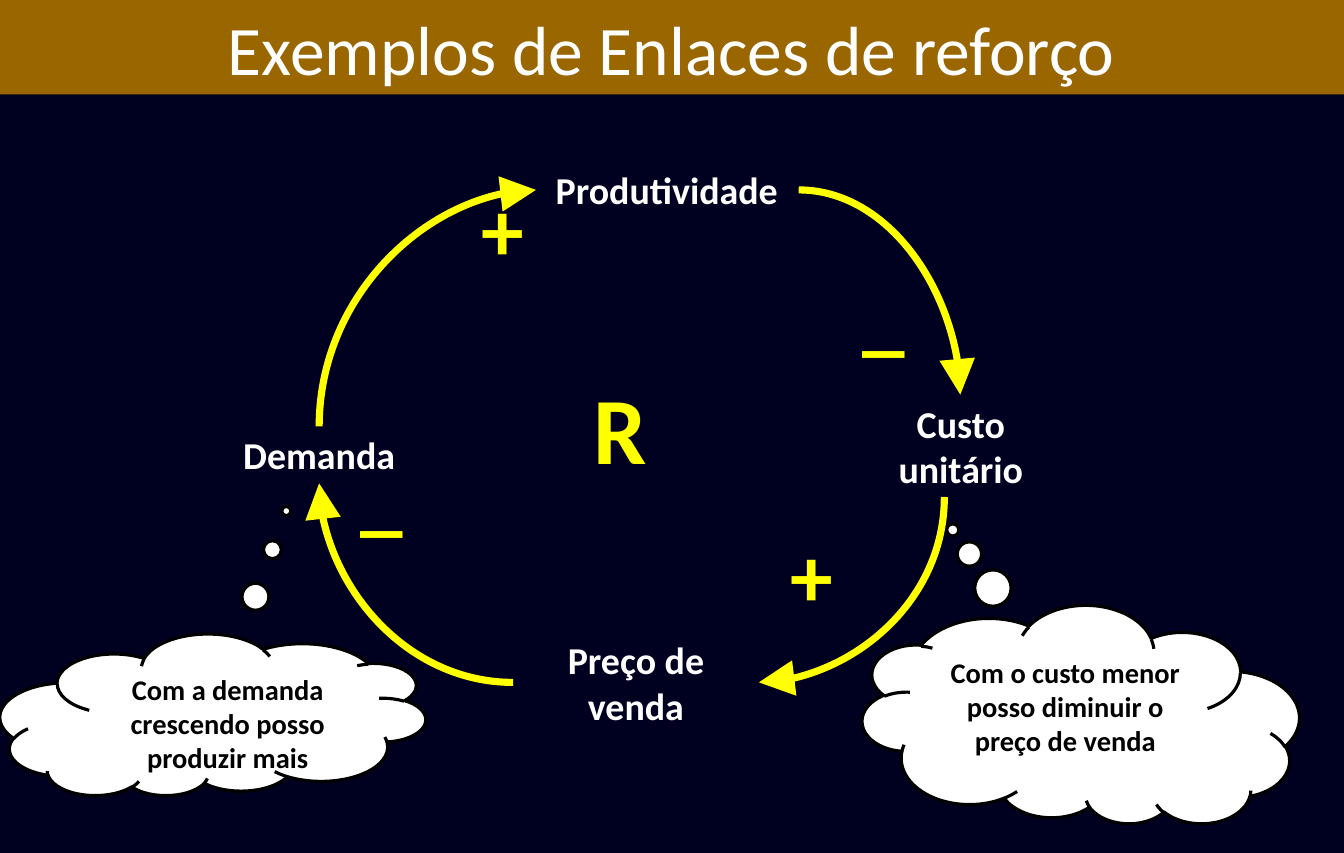
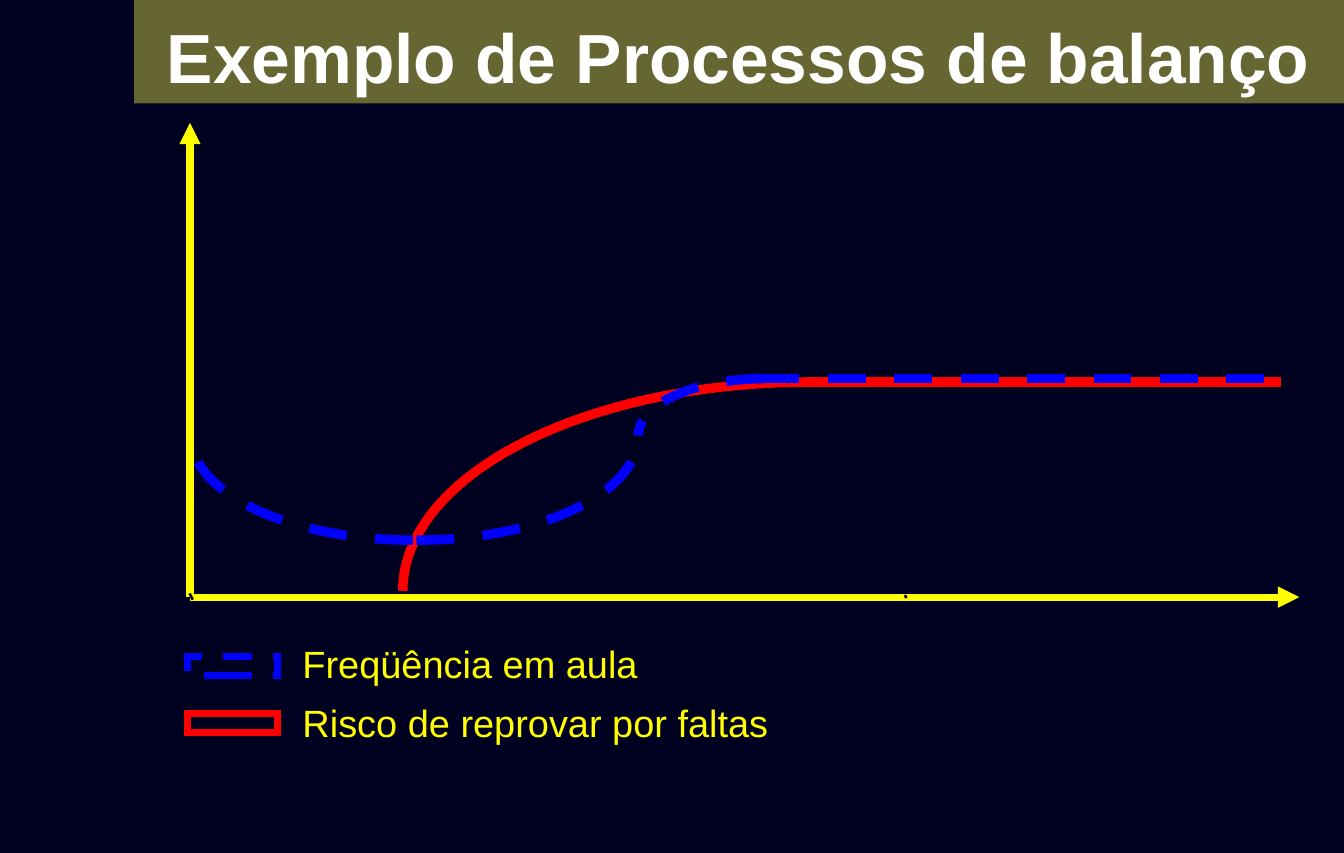
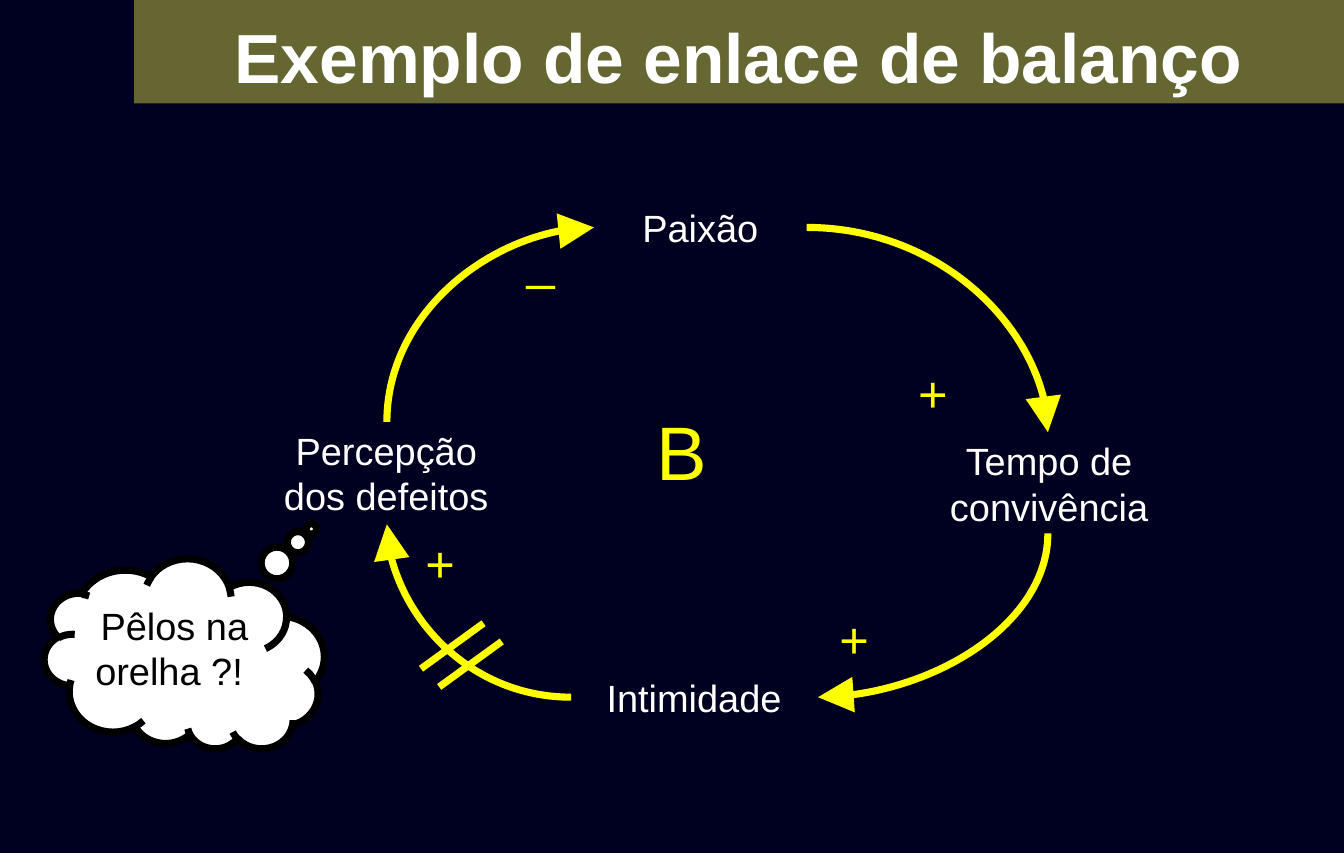
from lxml.etree import SubElement
from pptx import Presentation
from pptx.dml.color import RGBColor
from pptx.enum.dml import MSO_LINE
from pptx.enum.shapes import MSO_CONNECTOR, MSO_SHAPE
from pptx.enum.text import MSO_ANCHOR, PP_ALIGN
from pptx.oxml.ns import qn
from pptx.util import Inches, Pt

NAVY = RGBColor(0x00, 0x00, 0x20)
BROWN = RGBColor(0x99, 0x66, 0x00)
OLIVE = RGBColor(0x66, 0x66, 0x33)
WHITE = RGBColor(0xFF, 0xFF, 0xFF)
BLACK = RGBColor(0x00, 0x00, 0x00)
YELLOW = RGBColor(0xFF, 0xFF, 0x00)
BLUE = RGBColor(0x00, 0x00, 0xFF)
RED = RGBColor(0xFF, 0x00, 0x00)

SLIDE_W, SLIDE_H = Pt(850.5), Pt(540)
# Square grid: every position and size below is a number of columns or rows.
CELL = Inches(0.1)
COLS = SLIDE_W / CELL

# Clockwise quarter curves: direction (right, down) -> rotation, flipped both ways
QUARTERS = {
    (True, True): (0, False),
    (False, True): (90, False),
    (False, False): (180, False),
    (True, False): (90, True),
}


def cells(*counts):
    return [round(n * CELL) for n in counts]


def new_slide(prs):
    s = prs.slides.add_slide(prs.slide_layouts[6])
    s.background.fill.solid()
    s.background.fill.fore_color.rgb = NAVY
    return s


def write(sp, text, size, font, color, bold=False, align=PP_ALIGN.CENTER):
    tf = sp.text_frame
    tf.word_wrap = True
    tf.vertical_anchor = MSO_ANCHOR.TOP
    p = tf.paragraphs[0]
    p.text = text
    p.alignment = align
    p.font.size = Pt(size)
    p.font.name = font
    p.font.bold = bold
    p.font.color.rgb = color
    return p


def label(s, text, box, size, font, color, bold=False, align=PP_ALIGN.CENTER):
    write(s.shapes.add_textbox(*cells(*box)), text, size, font, color, bold, align)


def stroke(sp, color, width, dash=None):
    sp.line.color.rgb = color
    sp.line.width = Pt(width)
    if dash:
        sp.line.dash_style = dash


def shape(s, kind, box, fill=None):
    sp = s.shapes.add_shape(kind, *cells(*box))
    sp.shadow.inherit = False
    if fill is None:
        sp.fill.background()
    else:
        sp.fill.solid()
        sp.fill.fore_color.rgb = fill
    return sp


def flip(sp, axes):
    xfrm = sp._element.spPr.find(qn("a:xfrm"))
    for axis in axes:
        xfrm.set(f"flip{axis}", "1")
    return xfrm


def band(s, text, left, height, fill, font, bold=False, spacing=None):
    """Title band from a column to the right edge of the slide."""
    sp = shape(s, MSO_SHAPE.RECTANGLE, (left, 0, COLS - left, height), fill)
    sp.line.fill.background()
    p = write(sp, text, 44, font, WHITE, bold)
    if spacing:
        p.line_spacing = spacing


def olive_band(s, text):
    band(s, text, 11.8, 9.1, OLIVE, "Arial", True, 1.1)


def line(s, start, end, color=YELLOW, width=4.5, dash=None, head=None,
         kind=MSO_CONNECTOR.STRAIGHT):
    """Connector; head is the size of its arrowhead, "med" or "lg"."""
    cxn = s.shapes.add_connector(kind, *cells(*start, *end))
    stroke(cxn, color, width, dash)
    if head:
        SubElement(cxn.line._get_or_add_ln(), qn("a:tailEnd"), type="triangle",
                   w=head, len=head)
    SubElement(cxn._element.spPr, qn("a:effectLst"))
    return cxn


def loop_arrow(s, start, end):
    """Clockwise quarter curve with an arrowhead at its end."""
    (x1, y1), (x2, y2) = start, end
    turn, both = QUARTERS[x2 > x1, y2 > y1]
    w, h = abs(x2 - x1), abs(y2 - y1)
    if turn == 90:
        w, h = h, w
    left, top = (x1 + x2 - w) / 2, (y1 + y2 - h) / 2
    cxn = line(s, (left, top), (left + w, top + h), head="lg",
               kind=MSO_CONNECTOR.CURVE)
    cxn._element.spPr.find(qn("a:prstGeom")).set("prst", "curvedConnector2")
    xfrm = flip(cxn, "HV" if both else "")
    if turn:
        xfrm.set("rot", str(turn * 60000))


def thought(s, text, box, tail, axes, width, size, font, bold=False):
    """Thought cloud whose tail rises; its text is turned back upright."""
    sp = shape(s, MSO_SHAPE.CLOUD_CALLOUT, box, WHITE)
    sp.adjustments[0], sp.adjustments[1] = tail
    stroke(sp, BLACK, width)
    flip(sp, axes)
    write(sp, text, size, font, BLACK, bold)
    sp.text_frame._txBody.find(qn("a:bodyPr")).set("rot", str(180 * 60000))


def quarter_arc(s, box, axes, color, dash=None):
    sp = shape(s, MSO_SHAPE.ARC, box)
    stroke(sp, color, 6, dash)
    flip(sp, axes)


def tick(s, x, y, width):
    (x1, y1), (x2, y2) = cells(x, y), cells(x + 0.2, y - 0.1)
    builder = s.shapes.build_freeform(x1, y1)
    builder.add_line_segments([(x2, y2)], close=False)
    sp = builder.convert_to_shape()
    sp.shadow.inherit = False
    sp.fill.background()
    stroke(sp, BLACK, width)


def legend_entry(s, text, top, text_top, color, dash=None):
    sp = shape(s, MSO_SHAPE.RECTANGLE, (16.5, top, 7.9, 1.7))
    stroke(sp, color, 4.5, dash)
    SubElement(sp.line._get_or_add_ln(), qn("a:miter"), lim="800000")
    label(s, text, (25.6, text_top, 59.1, 5), 24, "Arial", YELLOW,
          align=PP_ALIGN.LEFT)


def causal_loop(s, font, bold, nodes, arrows, signs, sign_size, centre, centre_size):
    for text, box in nodes:
        label(s, text, box, 24, font, WHITE, bold)
    for start, end in arrows:
        loop_arrow(s, start, end)
    for text, x, y in signs:
        label(s, text, (x, y, 5.9, sign_size / 5), sign_size, font, YELLOW, bold,
              PP_ALIGN.LEFT)
    text, x, y = centre
    label(s, text, (x, y, 8.9, centre_size / 5), centre_size, font, YELLOW, bold,
          PP_ALIGN.LEFT)


def reinforcing_slide(prs):
    s = new_slide(prs)
    causal_loop(
        s, "Calibri", True,
        nodes=[("Produtividade", (47, 14.2, 23.2, 9)),
               ("Custo unitário", (74.7, 34.7, 19.5, 9)),
               ("Preço de venda", (45.1, 55.5, 21.6, 9)),
               ("Demanda", (17.7, 37.5, 20.7, 5))],
        arrows=[((70.2, 16.7), (84.4, 34.7)),
                ((83, 43.7), (66.7, 60)),
                ((45.1, 60), (28.05, 42.5)),
                ((28.05, 37.5), (47.1, 16.7))],
        signs=[("_", 74.8, 22.5), ("_", 30.7, 38.3),
               ("+", 41.3, 15), ("+", 68.5, 45.4)],
        sign_size=54, centre=("R", 51.2, 32), centre_size=60)
    thought(s, "Com o custo menor posso diminuir o preço de venda",
            (75.8, 53.3, 38.4, 19.2), (-0.293, 0.849), "V", 2, 18, "Calibri", True)
    thought(s, "Com a demanda crescendo posso produzir mais",
            (0, 55.8, 37.4, 14.2), (-0.173, 1.265), "HV", 2, 18, "Calibri", True)
    band(s, "Exemplos de Enlaces de reforço", 0, 8.3, BROWN, "Calibri")


def behaviour_slide(prs):
    s = new_slide(prs)
    origin = (16.7, 52.5)
    for end in ((16.7, 10.8), (114.2, 52.5)):
        line(s, origin, end, head="med")
    legend_entry(s, "Freqüência em aula", 57.7, 55.8, BLUE, MSO_LINE.DASH)
    legend_entry(s, "Risco de reprovar por faltas", 62.7, 61, RED)
    tick(s, 16.7, 52.5, 4.5)
    tick(s, 79.5, 52.5, 2)

    quarter_arc(s, (35.4, 33.6, 71.5, 36.7), "H", RED)
    line(s, (70.8, 33.6), (112.6, 33.6), RED, 6)
    quarter_arc(s, (56.1, 33.3, 22.1, 10), "H", BLUE, MSO_LINE.DASH)
    line(s, (66.9, 33.3), (111.2, 33.3), BLUE, 6, MSO_LINE.DASH)
    for left, axes in ((17.1, "V"), (16.8, "HV")):
        quarter_arc(s, (left, 29.2, 39, 18.3), axes, BLUE, MSO_LINE.DASH)
    olive_band(s, "Exemplo de Processos de balanço")


def balancing_slide(prs):
    s = new_slide(prs)
    thought(s, "Pêlos na orelha ?! ", (3.9, 49.2, 24.6, 16.7), (0.454, 0.661),
            "V", 4.5, 24, "Arial")
    olive_band(s, "Exemplo de enlace de balanço")
    causal_loop(
        s, "Arial", False,
        nodes=[("Paixão", (52.2, 17.5, 18.7, 5)),
               ("Tempo de convivência", (78.8, 38, 26.8, 9)),
               ("Intimidade", (50.2, 58.8, 21.6, 5)),
               ("Percepção dos defeitos", (23.6, 37.1, 20.7, 9))],
        arrows=[((70.9, 20), (92.1, 38)),
                ((92.1, 46.9), (71.9, 61.3)),
                ((50.2, 61.3), (34, 46.1)),
                ((34, 37.1), (52.2, 20))],
        signs=[("+", 79.7, 31.3), ("_", 45.3, 19.6),
               ("+", 36.4, 46.3), ("+", 72.8, 53)],
        sign_size=32, centre=("B", 56.7, 35.1), centre_size=48)
    for shift in (0, 1.6):
        line(s, (42.5 + shift, 54.8 + shift), (37 + shift, 58.8 + shift))


def main():
    prs = Presentation()
    prs.slide_width, prs.slide_height = SLIDE_W, SLIDE_H
    reinforcing_slide(prs)
    behaviour_slide(prs)
    balancing_slide(prs)
    prs.save("out.pptx")


if __name__ == "__main__":
    main()
